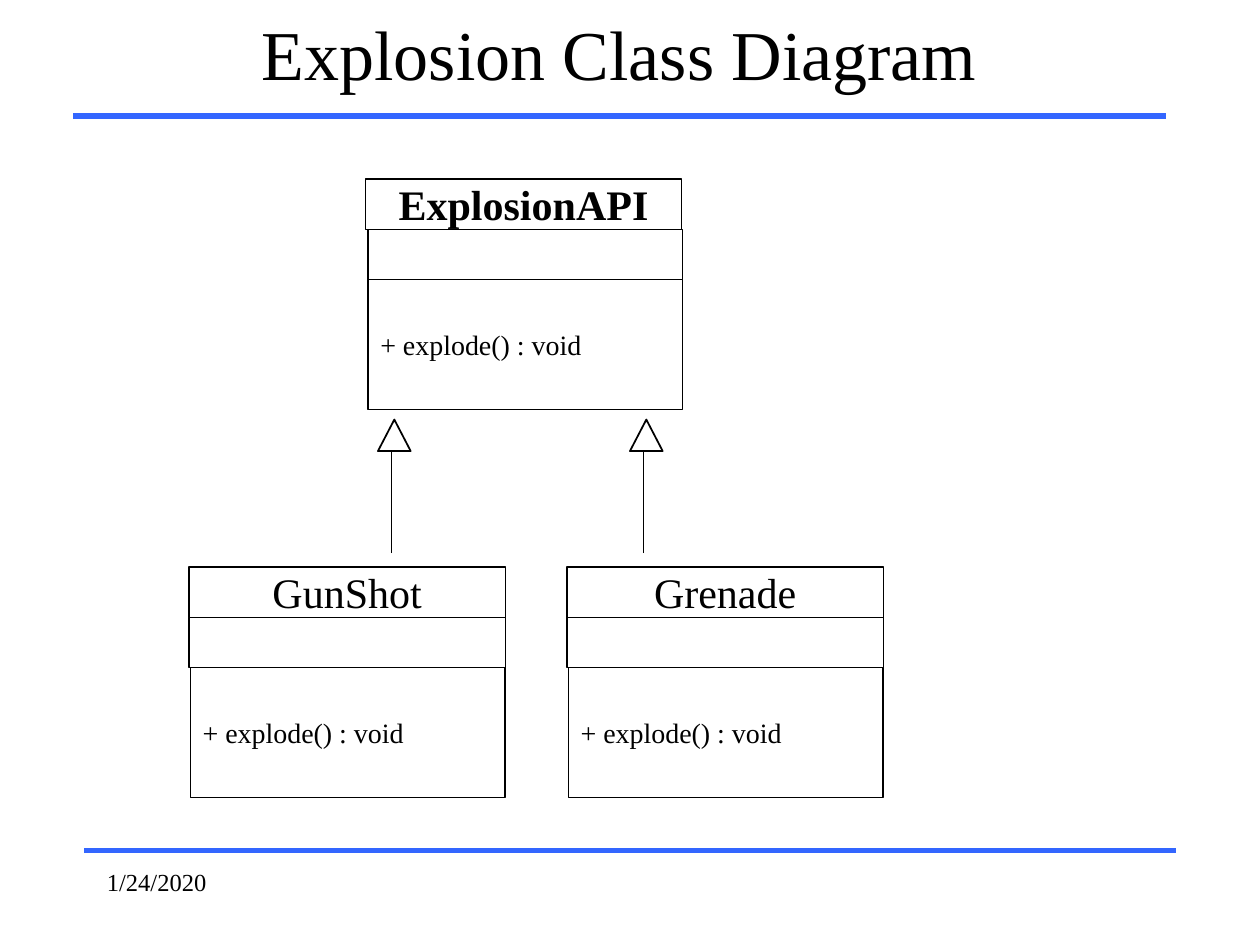
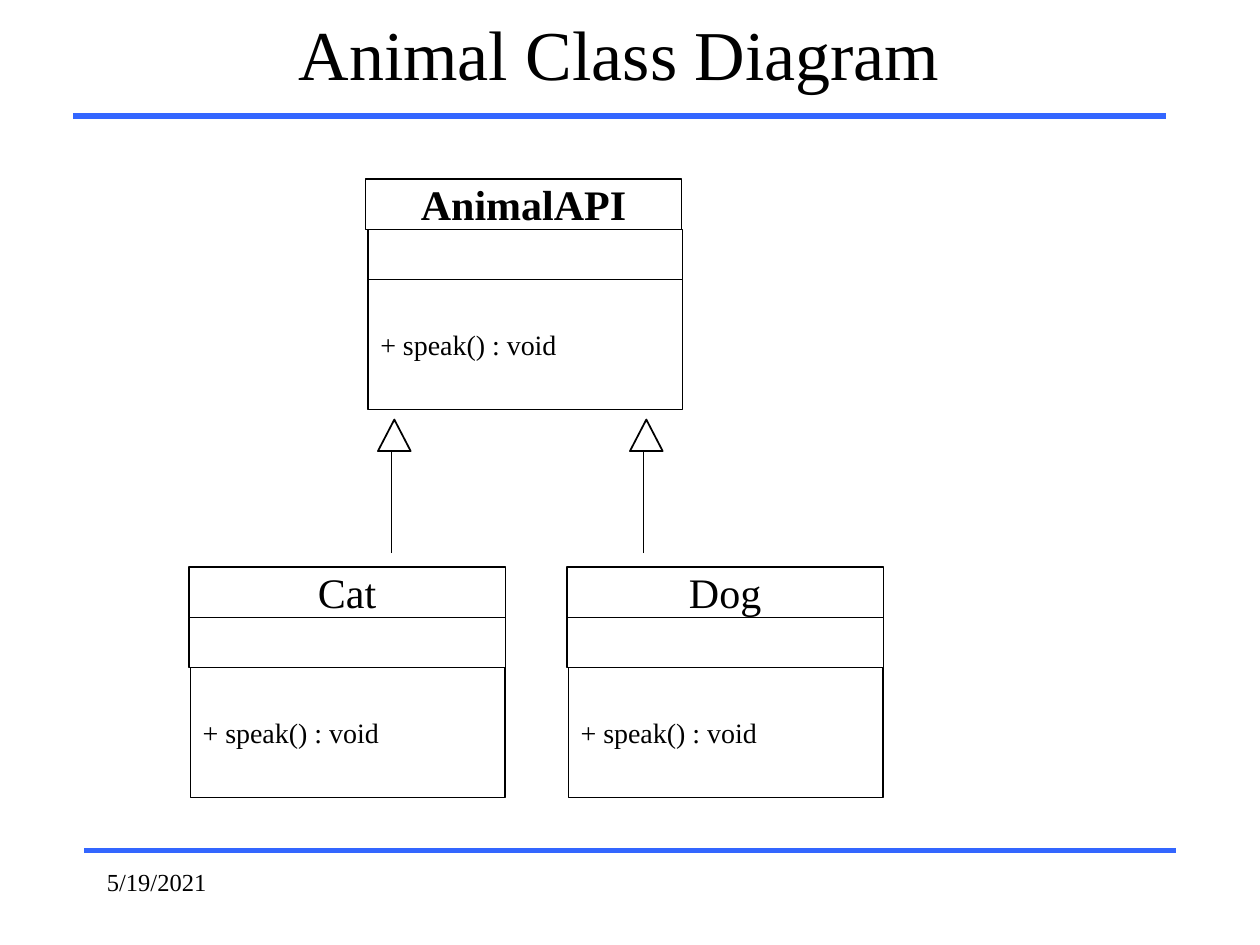
from dataclasses import dataclass

import pptx
import pptx.dml.color
import pptx.enum.shapes
import pptx.enum.text
import pptx.oxml.ns
import pptx.util
from lxml import etree

Inches = pptx.util.Inches
Pt = pptx.util.Pt
RGBColor = pptx.dml.color.RGBColor
MSO_SHAPE = pptx.enum.shapes.MSO_SHAPE
PP_ALIGN = pptx.enum.text.PP_ALIGN
MSO_ANCHOR = pptx.enum.text.MSO_ANCHOR

BLACK = RGBColor(0x00, 0x00, 0x00)
WHITE = RGBColor(0xFF, 0xFF, 0xFF)
BLUE = RGBColor(0x33, 0x66, 0xFF)
FONT = "Times New Roman"

# Class box measures, in inches
NAME_W, BODY_W = 2.51, 2.5
ROW_H, METHODS_H = 0.4, 1.03


@dataclass
class Diagram:
    title: str
    date: str
    parent: str
    children: tuple[str, str]
    method: str


@dataclass
class ClassBox:
    """Place of a class box; the indents shift its lower compartments."""
    left: float
    top: float
    attributes_indent: float = 0
    methods_indent: float = 0.01
    bold: bool = False


PARENT_BOX = ClassBox(2.9, 1.42, 0.02, 0.02, bold=True)
CHILD_BOXES = [ClassBox(left, 4.5) for left in (1.5, 4.5)]
ARROW_LEFTS = (3, 5)

DIAGRAMS = [
    Diagram("Explosion Class Diagram", "1/24/2020", "ExplosionAPI",
            ("GunShot", "Grenade"), "+ explode() : void"),
    Diagram("Animal Class Diagram", "5/19/2021", "AnimalAPI",
            ("Cat", "Dog"), "+ speak() : void"),
]


def set_text(sp, text: str, size: float, align=PP_ALIGN.LEFT,
             anchor=MSO_ANCHOR.MIDDLE, bold: bool = False) -> None:
    tf = sp.text_frame
    tf.word_wrap = True
    tf.vertical_anchor = anchor
    tf.text = text
    p = tf.paragraphs[0]
    p.alignment = align
    font = p.runs[0].font
    font.name, font.size, font.bold = FONT, Pt(size), bold
    font.color.rgb = BLACK


def add_text(s, left: float, top: float, width: float, height: float,
             text: str, size: float, align, anchor) -> None:
    sp = s.shapes.add_textbox(Inches(left), Inches(top), Inches(width), Inches(height))
    set_text(sp, text, size, align, anchor)


def add_line(shapes, x1: float, y1: float, x2: float, y2: float,
             color: RGBColor, width: float) -> None:
    line = shapes.add_connector(pptx.enum.shapes.MSO_CONNECTOR.STRAIGHT,
                                Inches(x1), Inches(y1), Inches(x2), Inches(y2))
    line.line.color.rgb = color
    line.line.width = Pt(width)
    etree.SubElement(line._element.spPr, pptx.oxml.ns.qn("a:effectLst"))


def add_outline(shapes, kind, left: float, top: float, width: float,
                height: float, line_width: float = 0.74):
    sp = shapes.add_shape(kind, Inches(left), Inches(top), Inches(width), Inches(height))
    sp.shadow.inherit = False
    sp.fill.solid()
    sp.fill.fore_color.rgb = WHITE
    sp.line.color.rgb = BLACK
    sp.line.width = Pt(line_width)
    return sp


def add_class(s, box: ClassBox, name: str, method: str) -> None:
    shapes = s.shapes.add_group_shape().shapes
    attributes_w = BODY_W if box.attributes_indent else NAME_W
    add_outline(shapes, MSO_SHAPE.RECTANGLE, box.left + box.attributes_indent,
                box.top + ROW_H, attributes_w, ROW_H)
    sp = add_outline(shapes, MSO_SHAPE.RECTANGLE, box.left + box.methods_indent,
                     box.top + 2 * ROW_H, BODY_W, METHODS_H)
    set_text(sp, method, 16)
    sp = add_outline(shapes, MSO_SHAPE.RECTANGLE, box.left, box.top, NAME_W, ROW_H)
    set_text(sp, name, 24, PP_ALIGN.CENTER, bold=box.bold)


def add_inheritance(s, left: float) -> None:
    shapes = s.shapes.add_group_shape().shapes
    add_line(shapes, left + 0.11, 4.39, left + 0.11, 3.47, BLACK, 0.51)
    add_outline(shapes, MSO_SHAPE.ISOSCELES_TRIANGLE, left, 3.33, 0.26, 0.25, 0.99)


def add_frame(s, title: str, date: str) -> None:
    add_line(s.shapes, 0.67, 6.75, 9.33, 6.75, BLUE, 3)
    add_line(s.shapes, 0.58, 0.92, 9.25, 0.92, BLUE, 3)
    add_text(s, 0.58, 0, 8.67, 0.83, title, 40, PP_ALIGN.CENTER, MSO_ANCHOR.MIDDLE)
    add_text(s, 0.75, 6.83, 2.08, 0.5, date, 14, PP_ALIGN.LEFT, MSO_ANCHOR.TOP)


def add_diagram(prs, diagram: Diagram) -> None:
    s = prs.slides.add_slide(prs.slide_layouts[6])
    add_frame(s, diagram.title, diagram.date)
    add_class(s, PARENT_BOX, diagram.parent, diagram.method)
    for left in ARROW_LEFTS:
        add_inheritance(s, left)
    for box, name in zip(CHILD_BOXES, diagram.children):
        add_class(s, box, name, diagram.method)


prs = pptx.Presentation()
prs.slide_width, prs.slide_height = Inches(10), Inches(7.5)
for diagram in DIAGRAMS:
    add_diagram(prs, diagram)
prs.save("out.pptx")
